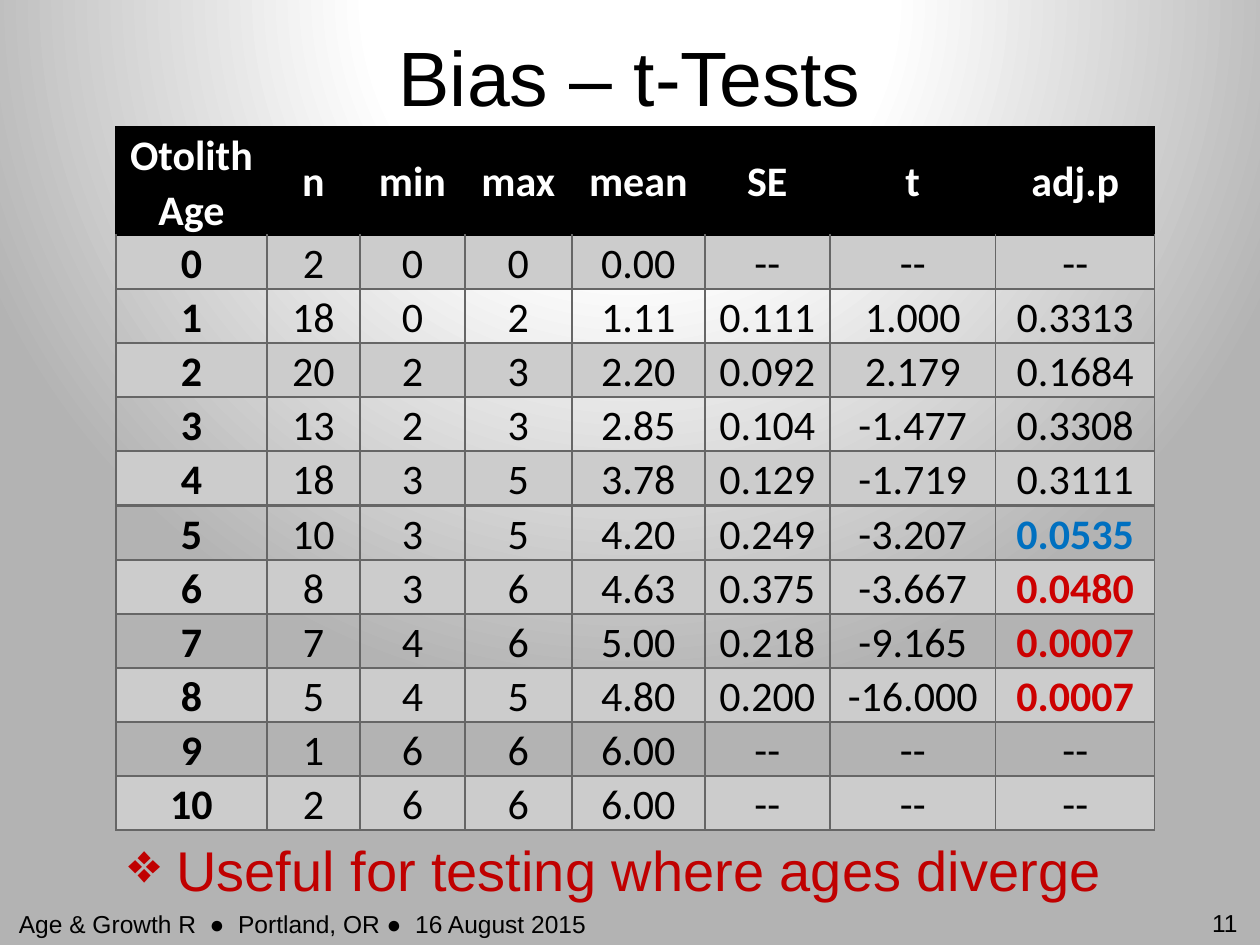
from pptx import Presentation
from pptx.dml.color import RGBColor
from pptx.enum.text import MSO_ANCHOR, PP_ALIGN
from pptx.oxml import parse_xml
from pptx.oxml.ns import nsdecls, qn
from pptx.util import Emu, Pt

SCALE = 914400 // 126
LEFT, CENTER, RIGHT = PP_ALIGN.LEFT, PP_ALIGN.CENTER, PP_ALIGN.RIGHT
TOP, MIDDLE = MSO_ANCHOR.TOP, MSO_ANCHOR.MIDDLE
NO_STYLE = "{2D5ABB26-0587-4C30-8999-92F81FD0307C}"

COLORS = {
    "black": "000000", "white": "FFFFFF", "shade": "B3B3B3",
    "band": "CCCCCC", "grid": "666666", "note": "C00000",
    "marginal": "0070C0", "significant": "CC0000",
}

COLUMN_WIDTHS = [151, 93, 105, 107, 133, 125, 166, 159]
HEADER_HEIGHT, ROW_HEIGHT = 107, 53
HEADER = ["Otolith\nAge", "n", "min", "max", "mean", "SE", "t", "adj.p"]
YOUNG_AGES = [
    ["0", "2", "0", "0", "0.00", "--", "--", "--"],
    ["1", "18", "0", "2", "1.11", "0.111", "1.000", "0.3313"],
    ["2", "20", "2", "3", "2.20", "0.092", "2.179", "0.1684"],
    ["3", "13", "2", "3", "2.85", "0.104", "-1.477", "0.3308"],
    ["4", "18", "3", "5", "3.78", "0.129", "-1.719", "0.3111"],
]
OLD_AGES = [
    ["5", "10", "3", "5", "4.20", "0.249", "-3.207", "0.0535"],
    ["6", "8", "3", "6", "4.63", "0.375", "-3.667", "0.0480"],
    ["7", "7", "4", "6", "5.00", "0.218", "-9.165", "0.0007"],
    ["8", "5", "4", "5", "4.80", "0.200", "-16.000", "0.0007"],
    ["9", "1", "6", "6", "6.00", "--", "--", "--"],
    ["10", "2", "6", "6", "6.00", "--", "--", "--"],
]
P_VALUE_COLORS = {"0.0535": "marginal", "0.0480": "significant",
                  "0.0007": "significant"}


def px(pixels):
    return Emu(pixels * SCALE)


def rgb(name):
    return RGBColor.from_string(COLORS[name])


def add_span(para, text, size, color, font="Arial", bold=False):
    span = para.add_run()
    span.text = text
    span.font.size = Pt(size)
    span.font.name = font
    span.font.bold = bold
    span.font.color.rgb = rgb(color)


def add_text(page, area, text, size, color="black", align=LEFT, anchor=TOP):
    box = page.shapes.add_textbox(*map(px, area))
    frame = box.text_frame
    frame.word_wrap = True
    frame.vertical_anchor = anchor
    para = frame.paragraphs[0]
    para.alignment = align
    add_span(para, text, size, color)
    return para


def add_bullet(para, char, indent):
    props = para._p.get_or_add_pPr()
    props.set("marL", str(px(indent)))
    props.set("indent", str(-px(indent)))
    props.append(parse_xml(f'<a:buChar {nsdecls("a")} char="{char}"/>'))


def set_background(page):
    page.background.fill.gradient()
    stops = "".join(
        f'<a:gs pos="{place * 1000}"><a:srgbClr val="{COLORS[name]}"/></a:gs>'
        for place, name in [(0, "white"), (33, "white"), (90, "shade")])
    gradient = parse_xml(
        f'<a:gradFill {nsdecls("a")} rotWithShape="1"><a:gsLst>{stops}</a:gsLst>'
        '<a:path path="circle"><a:fillToRect l="50000" t="-80000" r="50000" '
        'b="180000"/></a:path></a:gradFill>')
    default = next(page.element.iter(qn("a:gradFill")))
    default.getparent().replace(default, gradient)


def set_borders(cell, color, top_color):
    props = cell._tc.get_or_add_tcPr()
    edges = [("lnL", color), ("lnR", color), ("lnT", top_color), ("lnB", color)]
    for place, (edge, name) in enumerate(edges):
        props.insert(place, parse_xml(
            f'<a:{edge} {nsdecls("a")} w="{Pt(1)}"><a:solidFill>'
            f'<a:srgbClr val="{COLORS[name]}"/></a:solidFill></a:{edge}>'))


def fill_cell(cell, text, fill, color, bold, anchor):
    cell.margin_left = cell.margin_right = px(9)
    cell.margin_top = cell.margin_bottom = 0
    cell.vertical_anchor = anchor
    if fill:
        cell.fill.solid()
        cell.fill.fore_color.rgb = rgb(fill)
    else:
        cell.fill.background()
    frame = cell.text_frame
    for number, line in enumerate(text.split("\n")):
        para = frame.add_paragraph() if number else frame.paragraphs[0]
        para.alignment = CENTER
        para.line_spacing = 1.07
        add_span(para, line, 24, color, "Calibri", bold)


def add_age_table(page, top, rows, header=None):
    lines = ([header] if header else []) + rows
    heights = ([HEADER_HEIGHT] if header else []) + [ROW_HEIGHT] * len(rows)
    table = page.shapes.add_table(
        len(lines), len(COLUMN_WIDTHS), px(116), px(top),
        px(sum(COLUMN_WIDTHS)), px(sum(heights))).table
    table.first_row = bool(header)
    table.horz_banding = False
    next(table._tbl.iter(qn("a:tableStyleId"))).text = NO_STYLE
    for column, width in zip(table.columns, COLUMN_WIDTHS):
        column.width = px(width)
    for row, height, values in zip(table.rows, heights, lines):
        row.height = px(height)
        is_header = values is header
        for index, (cell, value) in enumerate(zip(row.cells, values)):
            if is_header:
                fill_cell(cell, value, "black", "white", True, MIDDLE)
                set_borders(cell, "black", "black")
                continue
            # Even ages are banded; small p-values stand out
            fill = "band" if int(values[0]) % 2 == 0 else None
            color = P_VALUE_COLORS.get(value, "black")
            bold = index == 0 or color != "black"
            fill_cell(cell, value, fill, color, bold, TOP)
            below_header = header and values is rows[0]
            set_borders(cell, "grid", "black" if below_header else "grid")


def main():
    deck = Presentation()
    deck.slide_width, deck.slide_height = px(1260), px(945)
    page = deck.slides.add_slide(deck.slide_layouts[6])
    set_background(page)

    # Title and footer
    add_text(page, (9, 16, 1242, 120), "Bias – t-Tests", 44,
             align=CENTER, anchor=MIDDLE)
    add_text(page, (0, 903, 599, 42),
             "Age & Growth R  ●  Portland, OR ●  16 August 2015", 14, align=RIGHT)
    add_text(page, (1166, 902, 84, 43), "11", 14, align=RIGHT)

    # Test results by otolith age
    add_age_table(page, 127, YOUNG_AGES, HEADER)
    add_age_table(page, 506, OLD_AGES)

    # Takeaway
    takeaway = add_text(page, (116, 829, 1134, 84),
                        "Useful for testing where ages diverge", 32, "note")
    takeaway.space_before = Pt(6.4)
    add_bullet(takeaway, "❖", 48)

    deck.save("out.pptx")


main()
